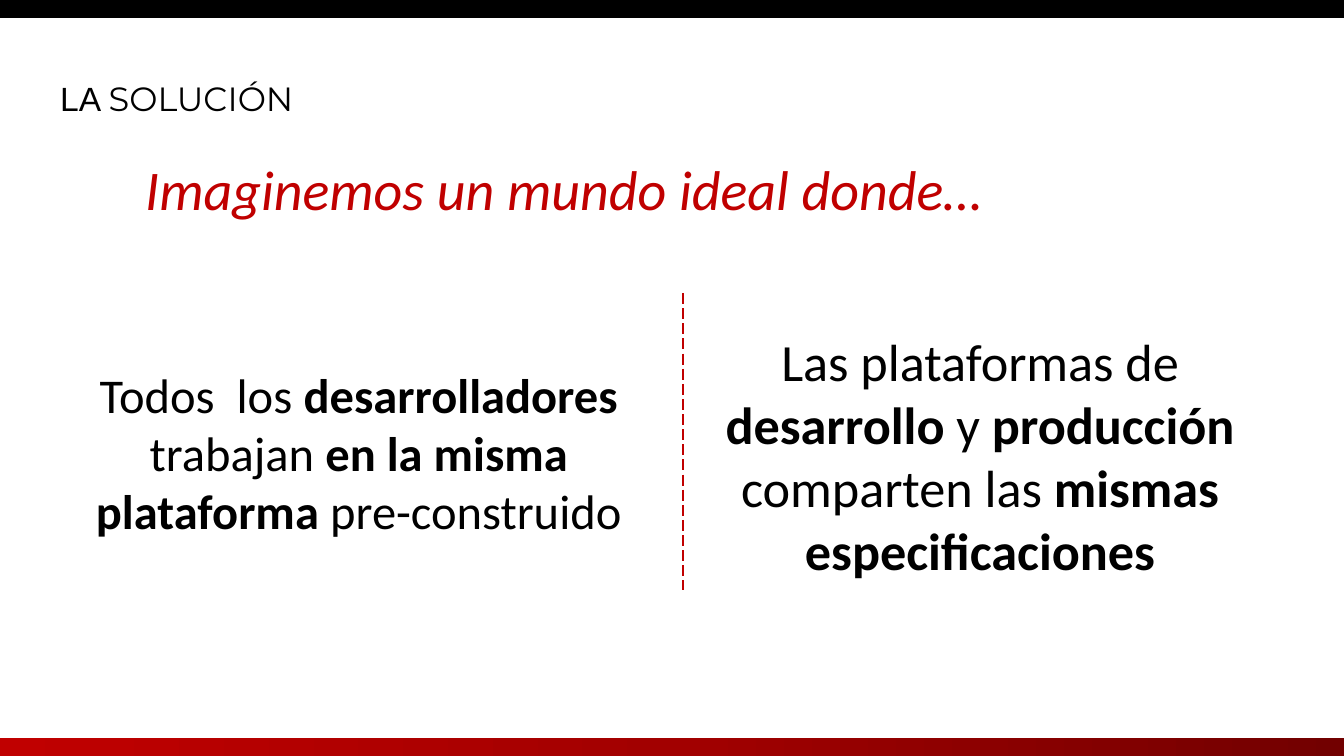
from copy import deepcopy

from pptx import Presentation
from pptx.dml.color import RGBColor
from pptx.enum.dml import MSO_LINE_DASH_STYLE as Dash
from pptx.enum.shapes import MSO_CONNECTOR as Connector, MSO_SHAPE as Shape
from pptx.enum.text import MSO_AUTO_SIZE as AutoSize, PP_ALIGN as Align
from pptx.oxml.ns import qn
from pptx.util import Pt
from lxml.etree import SubElement

COLORS = {
    "black": "000000",
    "red": "C00000",
    "mid_red": "A20000",
    "dark_red": "720000",
}


def px(value):
    return round(value * 914400 / 134.4)


def rgb(name):
    return RGBColor.from_string(COLORS[name])


prs = Presentation()
prs.slide_width, prs.slide_height = px(1344), px(756)
slide = prs.slides.add_slide(prs.slide_layouts[6])
shapes = slide.shapes

bars = []
for top in (0, 738):
    bar = shapes.add_shape(Shape.RECTANGLE, 0, px(top), px(1344), px(18))
    bar.shadow.inherit = False
    bar.line.fill.background()
    bars.append(bar)
header_bar, footer_bar = bars

header_bar.fill.solid()
header_bar.fill.fore_color.rgb = rgb("black")

footer_bar.fill.gradient()
footer_bar.fill.gradient_angle = 180
stop_list = footer_bar._element.spPr.find(qn("a:gradFill")).find(qn("a:gsLst"))
stop_list.insert(1, deepcopy(stop_list[0]))
ramp = [(0, "dark_red"), (0.5, "mid_red"), (1, "red")]
for stop, (position, color) in zip(footer_bar.fill.gradient_stops, ramp):
    stop.position = position
    stop.color.rgb = rgb(color)

divider = shapes.add_connector(Connector.STRAIGHT, px(683), px(293), px(683), px(590))
divider.line.color.rgb = rgb("red")
divider.line.width = Pt(0.75)
divider.line.dash_style = Dash.LONG_DASH
SubElement(divider._element.spPr, qn("a:effectLst"))

REGULAR, BOLD, ITALIC = (False, False), (True, False), (False, True)
texts = [
    ((47, 71, 276, 54), False, Align.LEFT, 18, "black", [
        ("LA ", "Arial", REGULAR),
        ("SOLUCIÓN", "Montserrat", REGULAR),
    ]),
    ((132, 148, 1005, 82), True, Align.LEFT, 30, "red", [
        ("Imaginemos un mundo ideal donde…", "Calibri", ITALIC),
    ]),
    ((79, 358, 560, 190), True, Align.CENTER, 26, "black", [
        ("Todos  los ", "Calibri", REGULAR),
        ("desarrolladores ", "Calibri", BOLD),
        ("trabajan ", "Calibri", REGULAR),
        ("en la misma plataforma ", "Calibri", BOLD),
        ("pre-construido", "Calibri", REGULAR),
    ]),
    ((700, 323, 560, 267), True, Align.CENTER, 28, "black", [
        ("Las plataformas de ", "Calibri", REGULAR),
        ("desarrollo ", "Calibri", BOLD),
        ("y ", "Calibri", REGULAR),
        ("producción ", "Calibri", BOLD),
        ("comparten las ", "Calibri", REGULAR),
        ("mismas especificaciones", "Calibri", BOLD),
    ]),
]
for box, wrap, align, size, color, pieces in texts:
    frame = shapes.add_textbox(*map(px, box)).text_frame
    frame.word_wrap = wrap
    frame.auto_size = AutoSize.SHAPE_TO_FIT_TEXT
    paragraph = frame.paragraphs[0]
    paragraph.alignment = align
    for words, font_name, (bold, italic) in pieces:
        run = paragraph.add_run()
        run.text = words
        run.font.name = font_name
        run.font.size = Pt(size)
        run.font.bold = bold
        run.font.italic = italic
        run.font.color.rgb = rgb(color)

prs.save("out.pptx")
